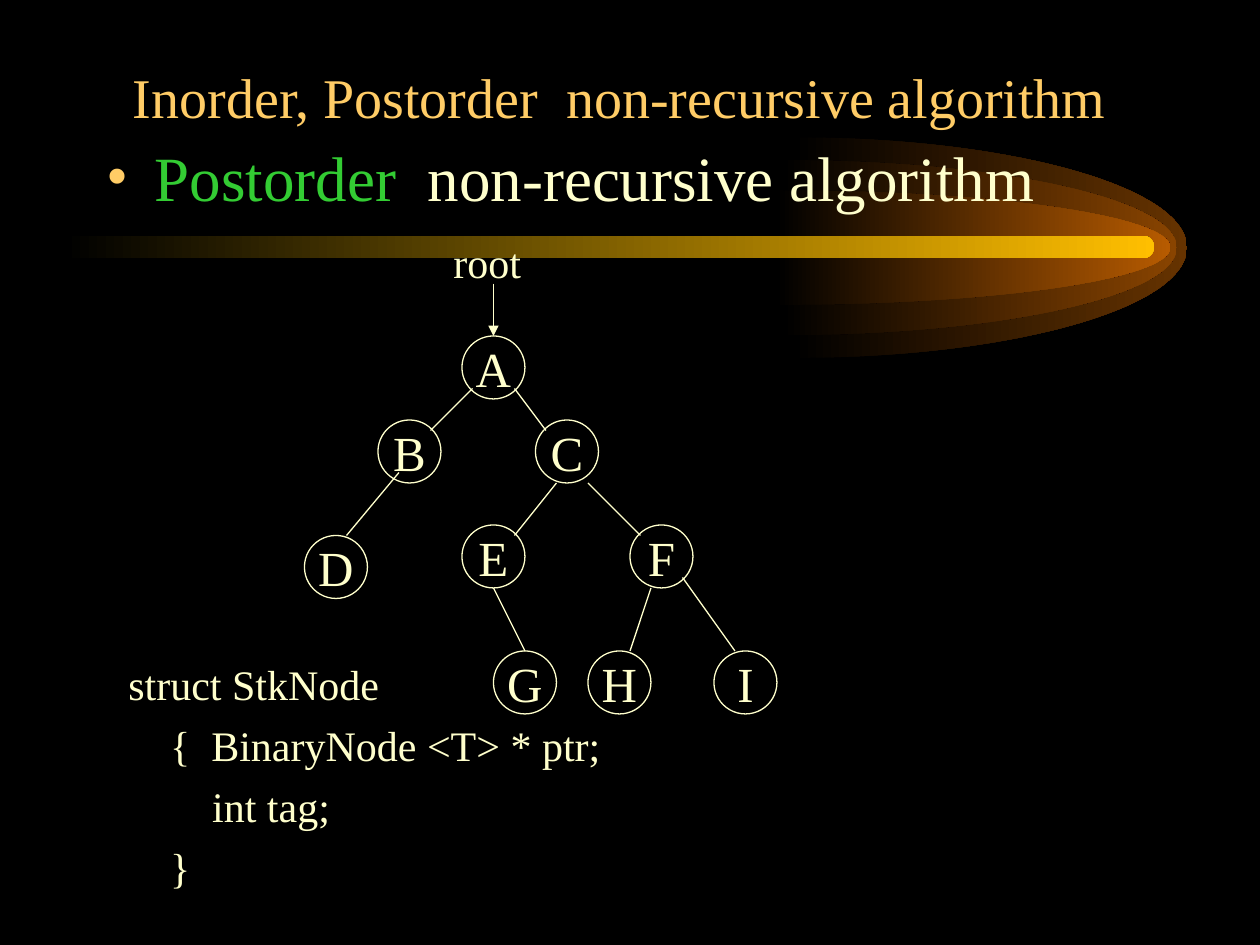
from lxml import etree
from pptx import Presentation
from pptx.dml.color import RGBColor
from pptx.enum.shapes import MSO_CONNECTOR, MSO_SHAPE
from pptx.enum.text import MSO_ANCHOR, PP_ALIGN
from pptx.oxml.ns import qn
from pptx.util import Inches, Pt

STRAIGHT = MSO_CONNECTOR.STRAIGHT
OVAL, ROUND = MSO_SHAPE.OVAL, MSO_SHAPE.ROUNDED_RECTANGLE
TOP, MIDDLE, BOTTOM = MSO_ANCHOR.TOP, MSO_ANCHOR.MIDDLE, MSO_ANCHOR.BOTTOM
LEFT, CENTER = PP_ALIGN.LEFT, PP_ALIGN.CENTER

BLACK = RGBColor(0x00, 0x00, 0x00)
CREAM = RGBColor(0xFF, 0xFF, 0xCC)
GOLD = RGBColor(0xFF, 0xCC, 0x66)
GREEN = RGBColor(0x33, 0xCC, 0x33)
AMBER = RGBColor(0xFF, 0xBF, 0x00)
FONT = "Times New Roman"

TITLE = "Inorder, Postorder  non-recursive algorithm"
TOPIC = [("Postorder", GREEN), ("  non-recursive algorithm", CREAM)]
CODE = [
    "struct StkNode",
    "    {  BinaryNode <T> * ptr;",
    "        int tag;",
    "    }",
]

# Half ellipses of the comet: left, top, height, glow colour
GLOWS = [
    (6.29, 1.09, 1.75, RGBColor(0x66, 0x33, 0x00)),
    (6.21, 1.27, 1.39, RGBColor(0x89, 0x44, 0x00)),
    (6.16, 1.51, 0.91, RGBColor(0xB7, 0x5B, 0x00)),
]
GLOW_W = 3.13
BEND = 0.55  # control point distance that bends a curve to an ellipse

# Tree in units of a twelfth of an inch: node centres, then edges as
# parent, offset from its centre, child, offset from its centre
UNIT = 1 / 12
RADIUS = 3
NODES = {
    "A": (47, 35), "B": (39, 43), "C": (54, 43),
    "D": (32, 54), "E": (47, 53), "F": (63, 53),
    "I": (71, 65), "H": (59, 65), "G": (50, 65),
}
EDGES = [
    ("A", (-2, 2), "B", (2, -2)),
    ("B", (-1, 2), "D", (1, -3)),
    ("A", (2, 2), "C", (-2, -2)),
    ("C", (-1, 3), "E", (2, -2)),
    ("C", (2, 3), "F", (-2, -2)),
    ("E", (0, 3), "G", (0, -3)),
    ("F", (-1, 3), "H", (1, -3)),
    ("F", (2, 2), "I", (-1, -3)),
]

prs = Presentation()
prs.slide_width, prs.slide_height = Inches(10), Inches(7.5)
slide = prs.slides.add_slide(prs.slide_layouts[6])
slide.background.fill.solid()
slide.background.fill.fore_color.rgb = BLACK
shapes = slide.shapes


def put_text(shape, paras, size=24, color=CREAM, align=LEFT, anchor=TOP,
             wrap=True, gap=0, bullet=None):
    """Fill a shape; a paragraph is a string or a list of (text, colour)."""
    frame = shape.text_frame
    frame.word_wrap, frame.vertical_anchor = wrap, anchor
    for i, para in enumerate(paras):
        p = frame.paragraphs[0] if i == 0 else frame.add_paragraph()
        p.alignment = align
        if i:
            p.space_before = Pt(gap)
        if bullet:
            p.line_spacing = 0.8
            props = p._p.get_or_add_pPr()
            props.set("marL", str(Inches(0.38)))
            props.set("indent", str(-Inches(0.38)))
            tint = etree.SubElement(props, qn("a:buClr"))
            etree.SubElement(tint, qn("a:srgbClr"), val=str(bullet))
            etree.SubElement(props, qn("a:buFont"), typeface=FONT)
            etree.SubElement(props, qn("a:buChar"), char="•")
        for text, shade in [(para, color)] if isinstance(para, str) else para:
            run = p.add_run()
            run.text = text
            run.font.name, run.font.size = FONT, Pt(size)
            run.font.color.rgb = shade


def add_text(left, top, width, height, paras, **style):
    box = shapes.add_textbox(*map(Inches, (left, top, width, height)))
    put_text(box, paras, **style)


def add_line(start, end, arrow=False):
    """Join two points given in tree units."""
    ends = [Inches(v * UNIT) for v in (*start, *end)]
    line = shapes.add_connector(STRAIGHT, *ends)
    line.line.color.rgb, line.line.width = CREAM, Pt(0.75)
    if arrow:
        etree.SubElement(line.line._get_or_add_ln(), qn("a:tailEnd"),
                         type="triangle")
    etree.SubElement(line._element.spPr, qn("a:effectLst"))


def fade(shape, color):
    """Fill from black at the left to the colour at the right."""
    shape.shadow.inherit = False
    shape.line.fill.background()
    shape.fill.gradient()
    shape.fill.gradient_angle = 0
    for stop, place, shade in zip(shape.fill.gradient_stops, (0, 1),
                                  (BLACK, color)):
        stop.position, stop.color.rgb = place, shade


def add_glow(left, top, height, color):
    """Draw the right half of an ellipse with two curves."""
    wide, half = Inches(GLOW_W), Inches(height / 2)
    x, y = Inches(left), Inches(top)
    build = shapes.build_freeform(x, y)
    build.add_line_segments([(x + wide, y + half), (x, y + 2 * half),
                             (x, y + half)], close=True)
    shape = build.convert_to_shape()
    bends = [
        [(BEND * wide, 0), (wide, half - BEND * half)],
        [(wide, half + BEND * half), (BEND * wide, 2 * half)],
    ]
    sides = list(shape._element.iter(qn("a:lnTo")))
    for side, points in zip(sides, bends):
        side.tag = qn("a:cubicBezTo")
        for i, (px, py) in enumerate(points):
            side.insert(i, etree.Element(qn("a:pt"), x=str(int(px)),
                                         y=str(int(py))))
    fade(shape, color)


def shift(point, step):
    return point[0] + step[0], point[1] + step[1]


for glow in GLOWS:
    add_glow(*glow)

bar = shapes.add_shape(ROUND, *map(Inches, (0.5, 1.87, 8.66, 0.18)))
bar.adjustments[0] = 0.5
fade(bar, AMBER)

add_text(0.67, 0.33, 8.5, 0.75, [TITLE], size=32, color=GOLD,
         align=CENTER, anchor=BOTTOM)
add_text(0.75, 1.17, 8.5, 4.83, [TOPIC], size=36, bullet=GOLD)

for name, (x, y) in NODES.items():
    side = Inches(2 * RADIUS * UNIT)
    node = shapes.add_shape(OVAL, Inches((x - RADIUS) * UNIT),
                            Inches((y - RADIUS) * UNIT), side, side)
    node.shadow.inherit = False
    node.fill.background()
    node.line.color.rgb, node.line.width = CREAM, Pt(0.75)
    put_text(node, [name], size=28, align=CENTER, anchor=MIDDLE, wrap=False)

for parent, out, child, into in EDGES:
    add_line(shift(NODES[parent], out), shift(NODES[child], into))

add_text(3.5, 1.83, 0.74, 0.5, ["root"], wrap=False)
add_line(shift(NODES["A"], (0, -8)), shift(NODES["A"], (0, -RADIUS)),
         arrow=True)
add_text(0.92, 5.18, 4.5, 1.95, CODE, gap=6)

prs.save("out.pptx")
